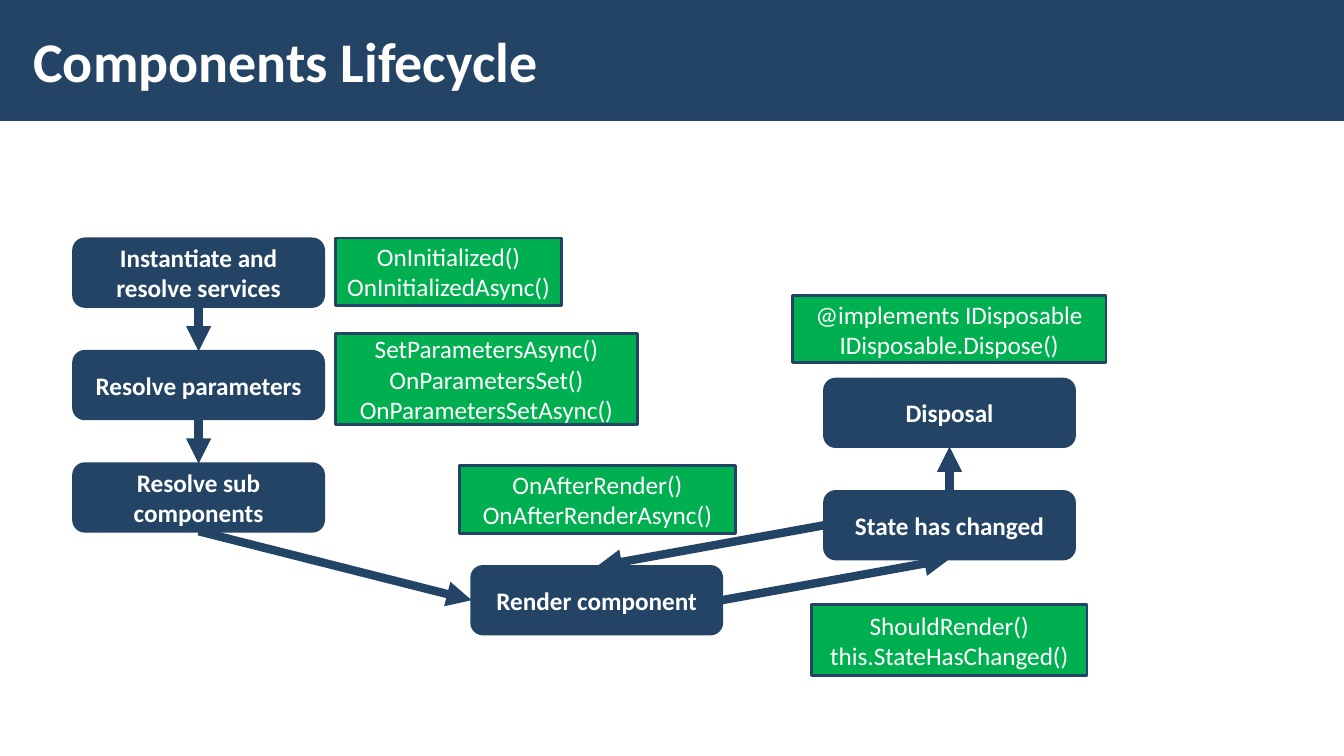
from typing import NamedTuple

from lxml.etree import SubElement
from pptx import Presentation
from pptx.dml.color import RGBColor
from pptx.enum.shapes import MSO_CONNECTOR, MSO_SHAPE
from pptx.enum.text import MSO_ANCHOR, PP_ALIGN
from pptx.oxml.ns import qn
from pptx.util import Inches, Pt

SLIDE_WIDTH, SLIDE_HEIGHT = Inches(13.33), Inches(7.5)
COLUMN, ROW = SLIDE_WIDTH / 100, SLIDE_HEIGHT / 100
NAVY, GREEN, WHITE = "234465", "00B050", "FFFFFF"
STEP_WIDTH, STEP_HEIGHT, STEP_PITCH = 18.6, 8.93, 14.87
TOP, LEFT, BOTTOM, RIGHT = range(4)
STEP_FONT = {"name": "Calibri", "size": Pt(18), "bold": True}
NOTE_FONT = {"name": "Calibri", "size": Pt(18), "bold": False}
TITLE_FONT = {"name": "Calibri", "size": Pt(40), "bold": True}


class Box(NamedTuple):
    """An area measured in columns and rows of the slide's 100 by 100 grid."""
    left: float
    top: float
    width: float
    height: float

    def inner(self, left, top, width, height):
        """Return an area offset from this one's top left corner."""
        return Box(self.left + left, self.top + top, width, height)

    def lengths(self):
        """Return left, top, width and height as slide lengths."""
        return [round(value * unit) for value, unit in zip(self, (COLUMN, ROW) * 2)]


def color(hex_value):
    """Turn a hex string into a colour."""
    return RGBColor.from_string(hex_value)


def write(frame, lines, font_format, alignment):
    """Write one paragraph per line with the given font format."""
    frame.word_wrap = True
    frame.vertical_anchor = MSO_ANCHOR.MIDDLE
    for number, line in enumerate(lines):
        paragraph = frame.add_paragraph() if number else frame.paragraphs[0]
        paragraph.alignment = alignment
        run = paragraph.add_run()
        run.text = line
        run.font.color.rgb = color(WHITE)
        for attribute, value in font_format.items():
            setattr(run.font, attribute, value)


def add_block(slide, box, kind, fill):
    """Add a filled shape with a navy outline."""
    block = slide.shapes.add_shape(kind, *box.lengths())
    block.shadow.inherit = False
    block.fill.solid()
    block.fill.fore_color.rgb = color(fill)
    block.line.color.rgb = color(NAVY)
    block.line.width = Pt(2)
    return block


def add_step(slide, region, left, top, label):
    """Add a rounded lifecycle step."""
    box = region.inner(left, top, STEP_WIDTH, STEP_HEIGHT)
    step = add_block(slide, box, MSO_SHAPE.ROUNDED_RECTANGLE, NAVY)
    write(step.text_frame, [label], STEP_FONT, PP_ALIGN.CENTER)
    return step


def add_note(slide, box, *methods):
    """Add a green note listing methods."""
    note = add_block(slide, box, MSO_SHAPE.RECTANGLE, GREEN)
    write(note.text_frame, methods, NOTE_FONT, PP_ALIGN.CENTER)


def add_arrow(slide, source, source_side, target, target_side):
    """Join two steps with a thick arrow."""
    arrow = slide.shapes.add_connector(MSO_CONNECTOR.STRAIGHT, 0, 0, 0, 0)
    arrow.begin_connect(source, source_side)
    arrow.end_connect(target, target_side)
    arrow.line.color.rgb = color(NAVY)
    arrow.line.width = Pt(6)
    SubElement(arrow.line._get_or_add_ln(), qn("a:tailEnd"), type="triangle")
    SubElement(arrow._element.spPr, qn("a:effectLst"))


def add_header(slide, box):
    """Add the title band."""
    band = add_block(slide, box, MSO_SHAPE.RECTANGLE, NAVY)
    band.line.fill.background()
    title_box = box.inner(1.58, 1.47, 79.74, 12.93)
    title = slide.shapes.add_textbox(*title_box.lengths())
    margins = {"margin_left": 0.12, "margin_right": 0.12, "margin_top": 0.04, "margin_bottom": 0.04}
    for attribute, value in margins.items():
        setattr(title.text_frame, attribute, Inches(value))
    write(title.text_frame, ["Components Lifecycle"], TITLE_FONT, PP_ALIGN.LEFT)


def add_setup(slide, region):
    """Add the setup steps with their notes and return the last step."""
    labels = ["Instantiate and resolve services", "Resolve parameters", "Resolve sub components"]
    steps = [add_step(slide, region, 0, row * STEP_PITCH, label) for row, label in enumerate(labels)]
    for source, target in zip(steps, steps[1:]):
        add_arrow(slide, source, BOTTOM, target, TOP)
    add_note(slide, region.inner(19.5, -0.13, 16.8, STEP_HEIGHT),
             "OnInitialized()", "OnInitializedAsync()")
    add_note(slide, region.inner(19.5, 12.53, 22.43, 12),
             "SetParametersAsync()", "OnParametersSet()", "OnParametersSetAsync()")
    return steps[-1]


def add_rendering(slide, region):
    """Add the render step below its note and return the step."""
    add_note(slide, region.inner(0, 0, region.width, STEP_HEIGHT),
             "OnAfterRender()", "OnAfterRenderAsync()")
    return add_step(slide, region, 0.9, 13.33, "Render component")


def add_change(slide, region):
    """Add the change and disposal steps and return the change step."""
    add_note(slide, region.inner(0, 0, region.width, STEP_HEIGHT),
             "@implements IDisposable", "IDisposable.Dispose()")
    disposal = add_step(slide, region, 2.4, 11.07, "Disposal")
    change = add_step(slide, region, 2.4, 11.07 + STEP_PITCH, "State has changed")
    add_arrow(slide, change, TOP, disposal, BOTTOM)
    add_note(slide, region.inner(1.43, 40.93, 20.5, 9.33),
             "ShouldRender()", "this.StateHasChanged()")
    return change


def main():
    """Build and save the lifecycle slide."""
    deck = Presentation()
    deck.slide_width, deck.slide_height = SLIDE_WIDTH, SLIDE_HEIGHT
    slide = deck.slides.add_slide(deck.slide_layouts[6])
    add_header(slide, Box(0, 0, 100, 16))
    setup = add_setup(slide, Box(5.48, 31.6, 42, 38.67))
    render = add_rendering(slide, Box(34.2, 61.6, 20.5, 22.27))
    change = add_change(slide, Box(58.95, 39.07, 23.35, 50.27))
    add_arrow(slide, setup, BOTTOM, render, LEFT)
    add_arrow(slide, render, RIGHT, change, BOTTOM)
    add_arrow(slide, change, LEFT, render, TOP)
    deck.save("out.pptx")


if __name__ == "__main__":
    main()
